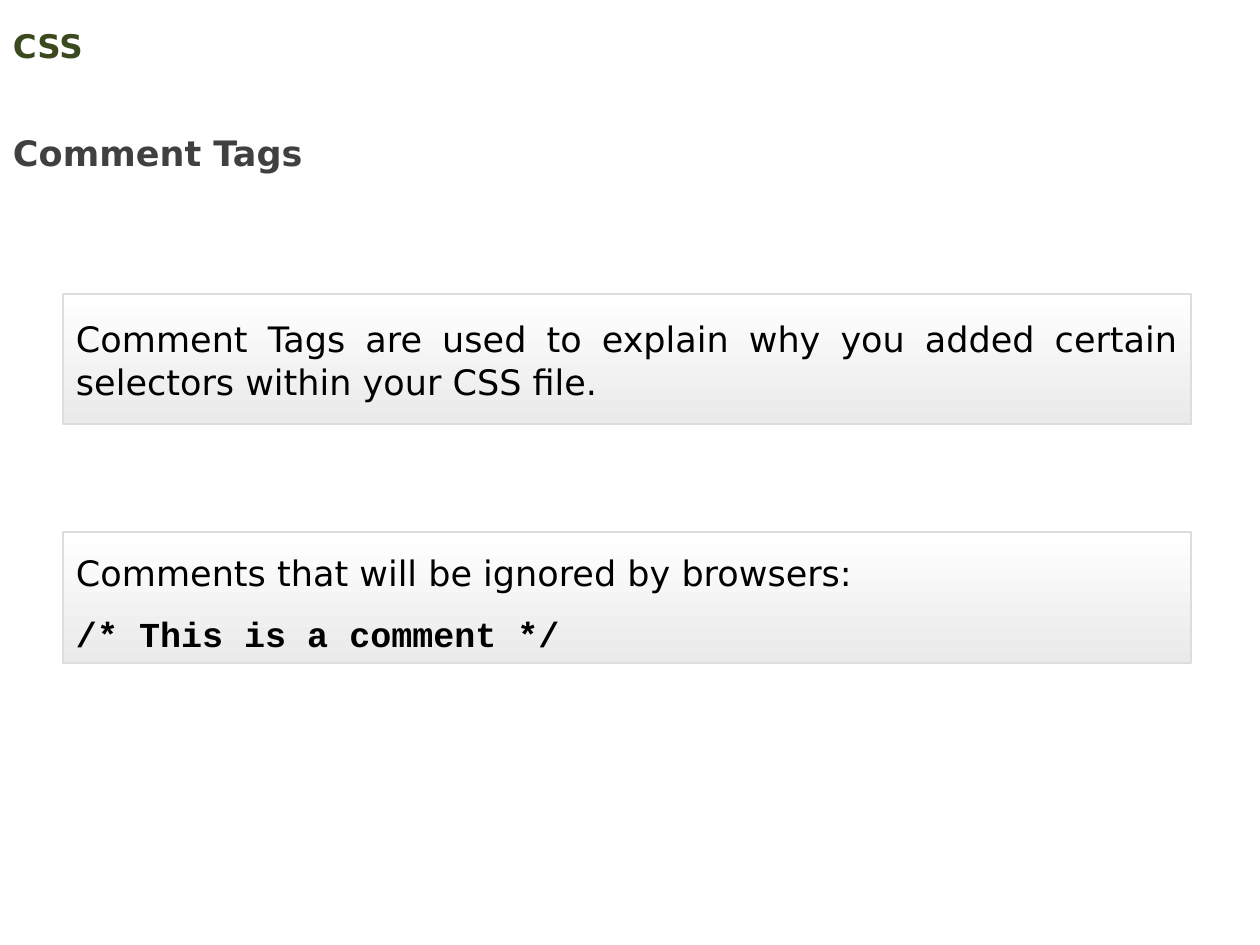
import pptx
import pptx.dml.color
import pptx.enum.shapes
import pptx.enum.text
import pptx.util

RGBColor = pptx.dml.color.RGBColor
ALIGN = pptx.enum.text.PP_ALIGN
ANCHOR = pptx.enum.text.MSO_ANCHOR
Pt = pptx.util.Pt

GREEN = RGBColor(0x3B, 0x4A, 0x1E)
GRAY = RGBColor(0x40, 0x40, 0x40)
BLACK = RGBColor(0x00, 0x00, 0x00)
WHITE = RGBColor(0xFF, 0xFF, 0xFF)
PALE = RGBColor(0xEA, 0xEA, 0xEA)
BORDER = RGBColor(0xDD, 0xDD, 0xDD)

SANS, MONO = "DejaVu Sans", "Courier New"
PX = 914400 // 126
MARGIN = 13

# Headings: text, box in px, format
HEADINGS = [
    ("CSS", (0, 18, 1134, 54),
     dict(size=18.6, color=GREEN, anchor=ANCHOR.MIDDLE)),
    ("Comment Tags", (0, 105, 485, 76),
     dict(color=GRAY, spacing=1.5)),
]

# Panels: top and height in px, line spacing, lines as (text, font, bold)
PANEL_LEFT, PANEL_WIDTH = 63, 1128
PANELS = [
    (294, 130, Pt(25), [
        ("Comment Tags are used to explain why you added certain "
         "selectors within your CSS file.", SANS, False),
    ]),
    (532, 131, Pt(30), [
        ("Comments that will be ignored by browsers:", SANS, False),
        ("/* This is a comment */", MONO, True),
    ]),
]


def px(*lengths):
    return [n * PX for n in lengths]


def write(s, lines, size=20, color=BLACK, spacing=1.0, after=0,
          align=ALIGN.LEFT, anchor=ANCHOR.TOP, inset=6):
    """Fill a shape with (text, font, bold) lines, one paragraph each."""
    tf = s.text_frame
    tf.word_wrap = True
    tf.vertical_anchor = anchor
    tf.margin_left = tf.margin_right = MARGIN * PX
    tf.margin_top = tf.margin_bottom = inset * PX
    for i, (text, font, bold) in enumerate(lines):
        p = tf.add_paragraph() if i else tf.paragraphs[0]
        p.alignment = align
        p.line_spacing = spacing
        p.space_after = Pt(after)
        r = p.add_run()
        r.text = text
        r.font.name, r.font.size, r.font.bold = font, Pt(size), bold
        r.font.color.rgb = color


def add_panel(slide, top, height):
    s = slide.shapes.add_shape(pptx.enum.shapes.MSO_SHAPE.RECTANGLE,
                               *px(PANEL_LEFT, top, PANEL_WIDTH, height))
    s.shadow.inherit = False
    s.fill.gradient()
    s.fill.gradient_angle = 270
    for stop, color, position in zip(s.fill.gradient_stops, (WHITE, PALE), (0, 1)):
        stop.color.rgb = color
        stop.position = position
    s.line.color.rgb = BORDER
    s.line.width = Pt(1)
    return s


def main():
    prs = pptx.Presentation()
    prs.slide_width, prs.slide_height = px(1260, 945)
    slide = prs.slides.add_slide(prs.slide_layouts[6])
    for text, box, style in HEADINGS:
        write(slide.shapes.add_textbox(*px(*box)), [(text, SANS, True)], **style)
    for top, height, spacing, lines in PANELS:
        write(add_panel(slide, top, height), lines, spacing=spacing, after=5,
              align=ALIGN.JUSTIFY, anchor=ANCHOR.MIDDLE, inset=MARGIN)
    prs.save("out.pptx")


if __name__ == "__main__":
    main()
